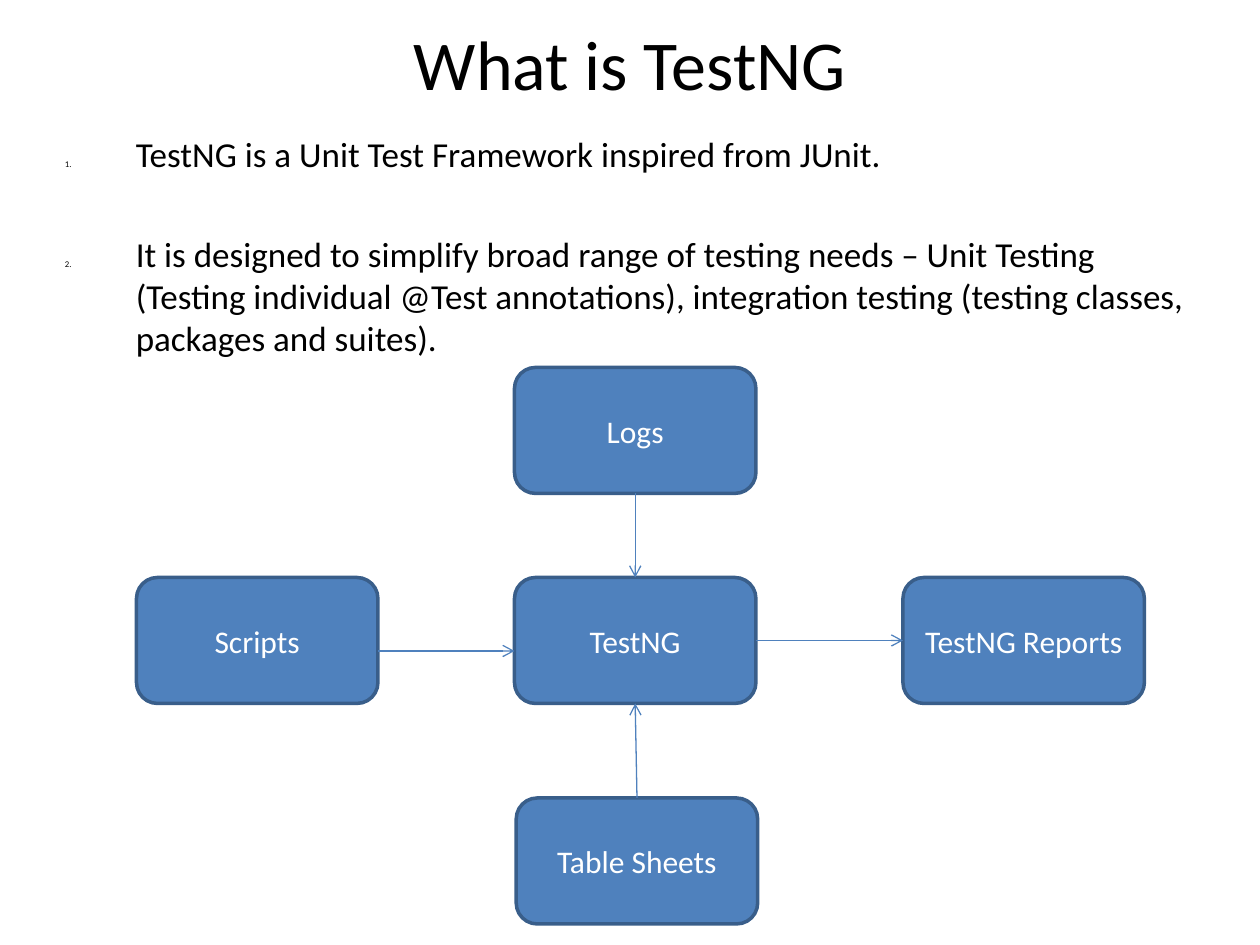
from typing import NamedTuple, Optional

from lxml.etree import SubElement
from pptx import Presentation
from pptx.dml.color import RGBColor
from pptx.enum.shapes import MSO_CONNECTOR, MSO_SHAPE
from pptx.enum.text import MSO_ANCHOR, PP_ALIGN
from pptx.oxml.ns import qn
from pptx.util import Pt

BLACK = RGBColor(0x00, 0x00, 0x00)
WHITE = RGBColor(0xFF, 0xFF, 0xFF)
BLUE = RGBColor(0x4F, 0x81, 0xBD)
DARK_BLUE = RGBColor(0x39, 0x5E, 0x8A)

BOX_WIDTH, BOX_HEIGHT = 138, 72
MIDDLE_ROW = 330
TOP, LEFT, BOTTOM, RIGHT = range(4)


class Box(NamedTuple):
    label: str
    left: float
    top: float


class Arrow(NamedTuple):
    source: str
    source_side: int
    target: str
    target_side: int
    level: Optional[float] = None  # height of an arrow that misses the side middles


BOXES = [
    Box("Scripts", 78, MIDDLE_ROW),
    Box("TestNG", 294, MIDDLE_ROW),
    Box("TestNG Reports", 516, MIDDLE_ROW),
    Box("Table Sheets", 295, 456),
    Box("Logs", 294, 210),
]
ARROWS = [
    Arrow("Scripts", RIGHT, "TestNG", LEFT, level=372),
    Arrow("TestNG", RIGHT, "TestNG Reports", LEFT),
    Arrow("Logs", BOTTOM, "TestNG", TOP),
    Arrow("Table Sheets", TOP, "TestNG", BOTTOM),
]
POINTS = [
    "TestNG is a Unit Test Framework inspired from JUnit.",
    "It is designed to simplify broad range of testing needs – Unit Testing "
    "(Testing individual @Test annotations), integration testing "
    "(testing classes, packages and suites).",
]


def format_font(paragraph, size: float, color: RGBColor) -> None:
    for name, value in {"name": "Calibri", "size": Pt(size), "bold": False}.items():
        setattr(paragraph.font, name, value)
    paragraph.font.color.rgb = color


def add_number(paragraph) -> None:
    properties = paragraph._p.get_or_add_pPr()
    properties.set("marL", str(Pt(40.5)))
    properties.set("indent", str(Pt(-40.5)))
    color = SubElement(properties, qn("a:buClr"))
    SubElement(color, qn("a:srgbClr"), val=str(BLACK))
    SubElement(properties, qn("a:buSzPct"), val="25000")
    SubElement(properties, qn("a:buFont"), typeface="Calibri")
    SubElement(properties, qn("a:buAutoNum"), type="arabicPeriod")


def add_points(slide) -> None:
    frame = slide.shapes.add_textbox(Pt(30), Pt(72), Pt(660), Pt(450)).text_frame
    frame.word_wrap = True
    for index, point in enumerate(POINTS):
        paragraph = frame.add_paragraph() if index else frame.paragraphs[0]
        paragraph.text = point
        if index:
            paragraph.space_before = Pt(33.5)
        add_number(paragraph)
        format_font(paragraph, 20, BLACK)


def add_box(slide, box: Box):
    shape = slide.shapes.add_shape(
        MSO_SHAPE.ROUNDED_RECTANGLE,
        Pt(box.left), Pt(box.top), Pt(BOX_WIDTH), Pt(BOX_HEIGHT),
    )
    shape.shadow.inherit = False
    shape.fill.solid()
    shape.fill.fore_color.rgb = BLUE
    shape.line.color.rgb = DARK_BLUE
    shape.line.width = Pt(2)
    shape.text_frame.vertical_anchor = MSO_ANCHOR.MIDDLE
    label = shape.text_frame.paragraphs[0]
    label.text = box.label
    label.alignment = PP_ALIGN.CENTER
    format_font(label, 18, WHITE)
    return shape


def add_arrow(slide, arrow: Arrow, nodes: dict) -> None:
    source, target = nodes[arrow.source], nodes[arrow.target]
    level = Pt(arrow.level or 0)
    line = slide.shapes.add_connector(
        MSO_CONNECTOR.STRAIGHT,
        source.left + source.width, level, target.left, level,
    )
    if arrow.level is None:
        line.begin_connect(source, arrow.source_side)
        line.end_connect(target, arrow.target_side)
    line.line.color.rgb = BLUE
    line.line.width = Pt(0.75)
    SubElement(line.line._get_or_add_ln(), qn("a:tailEnd"), type="arrow")
    SubElement(line._element.spPr, qn("a:effectLst"))


def main() -> None:
    presentation = Presentation()
    presentation.slide_width, presentation.slide_height = Pt(720), Pt(540)
    slide = presentation.slides.add_slide(presentation.slide_layouts[5])

    # Title
    title = slide.shapes.title
    place = {"left": Pt(54), "top": Pt(12), "width": Pt(612), "height": Pt(48)}
    for name, value in place.items():
        setattr(title, name, value)
    title.text_frame.vertical_anchor = MSO_ANCHOR.MIDDLE
    heading = title.text_frame.paragraphs[0]
    heading.text = "What is TestNG"
    heading.alignment = PP_ALIGN.CENTER
    format_font(heading, 40, BLACK)

    # Numbered points
    add_points(slide)

    # Flow around TestNG
    nodes = {box.label: add_box(slide, box) for box in BOXES}
    for arrow in ARROWS:
        add_arrow(slide, arrow, nodes)

    presentation.save("out.pptx")


if __name__ == "__main__":
    main()
